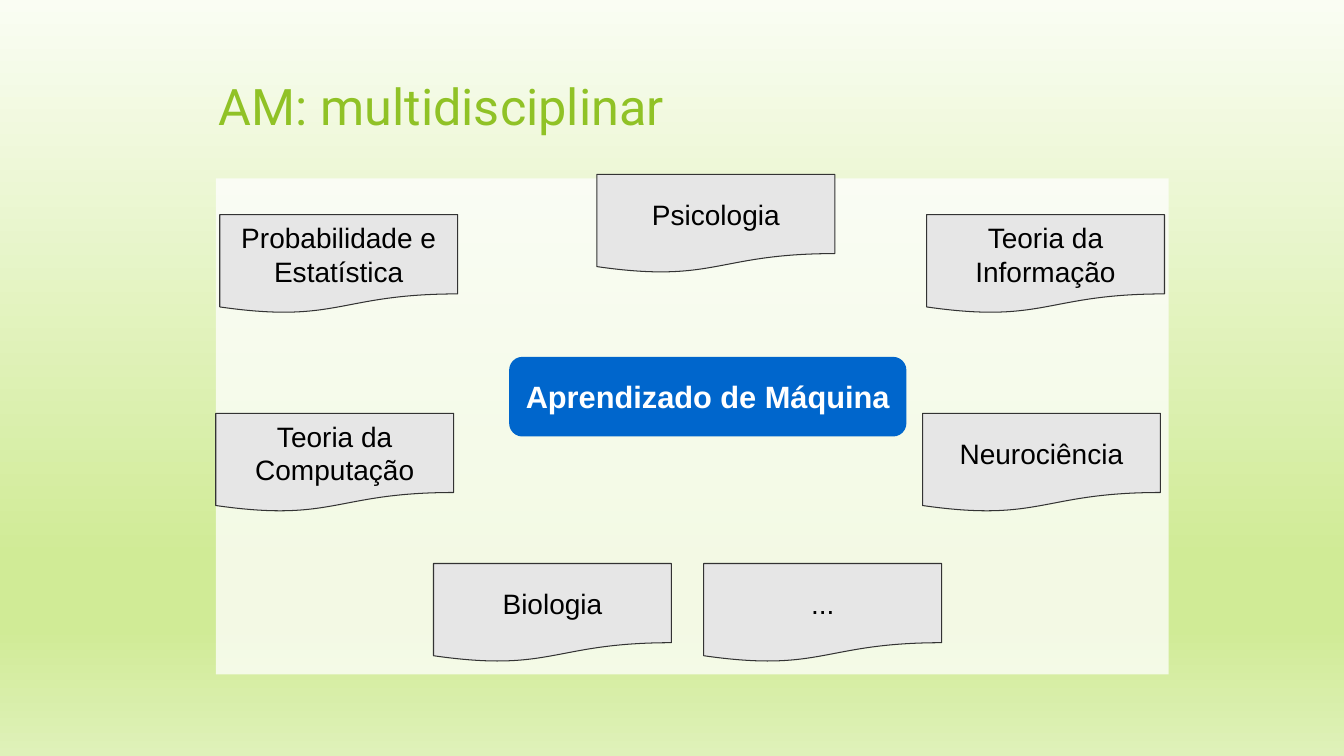
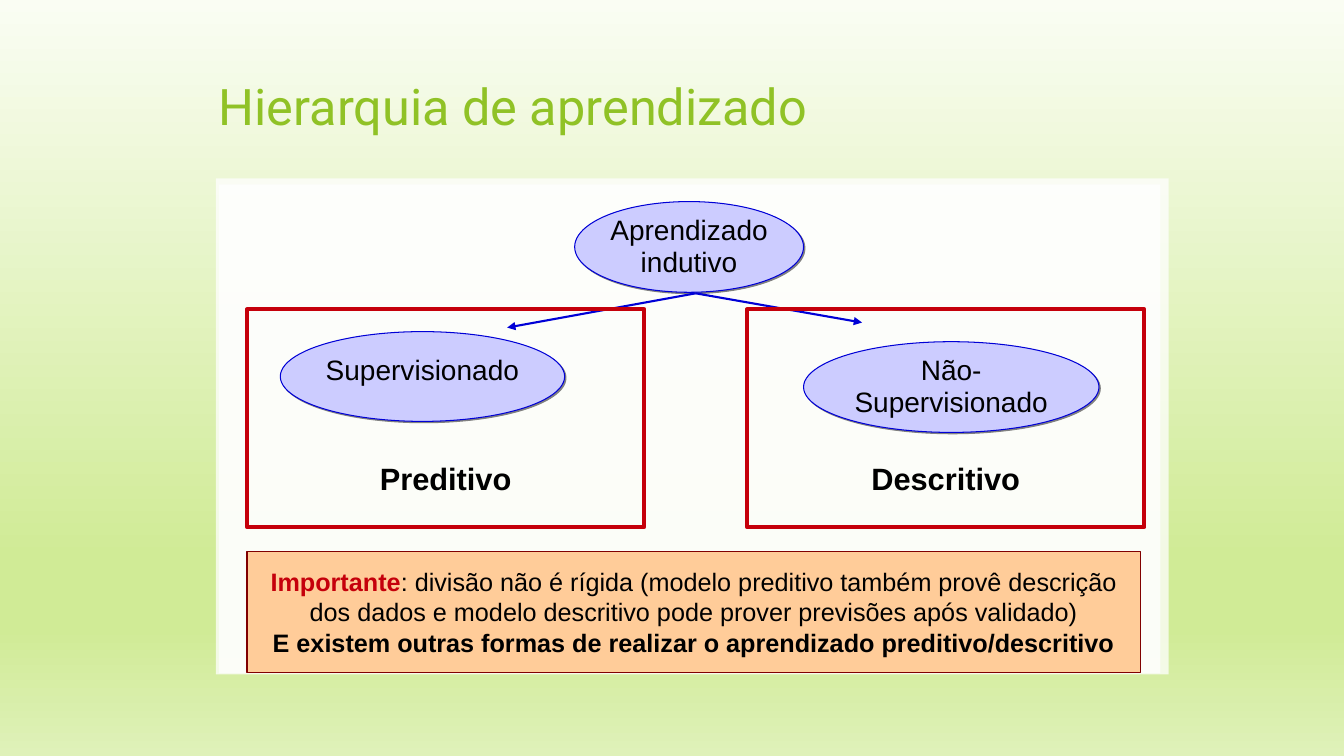
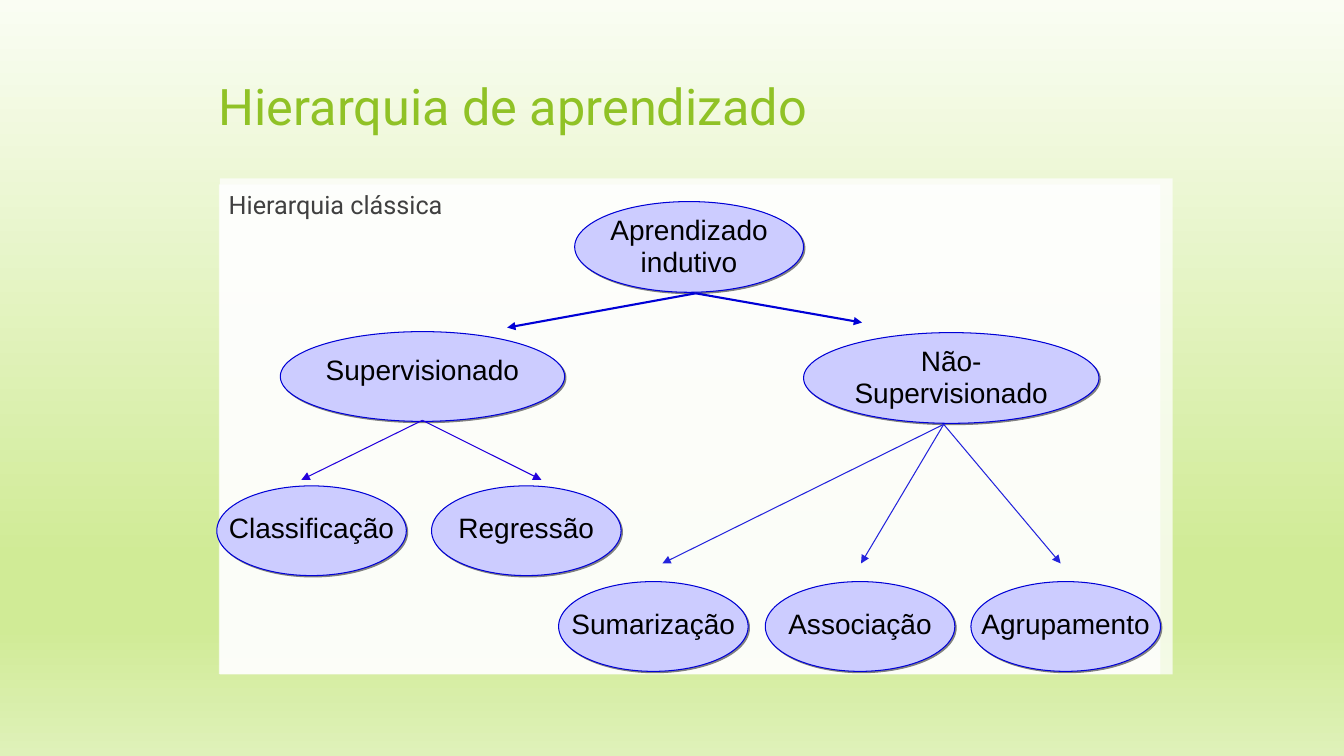
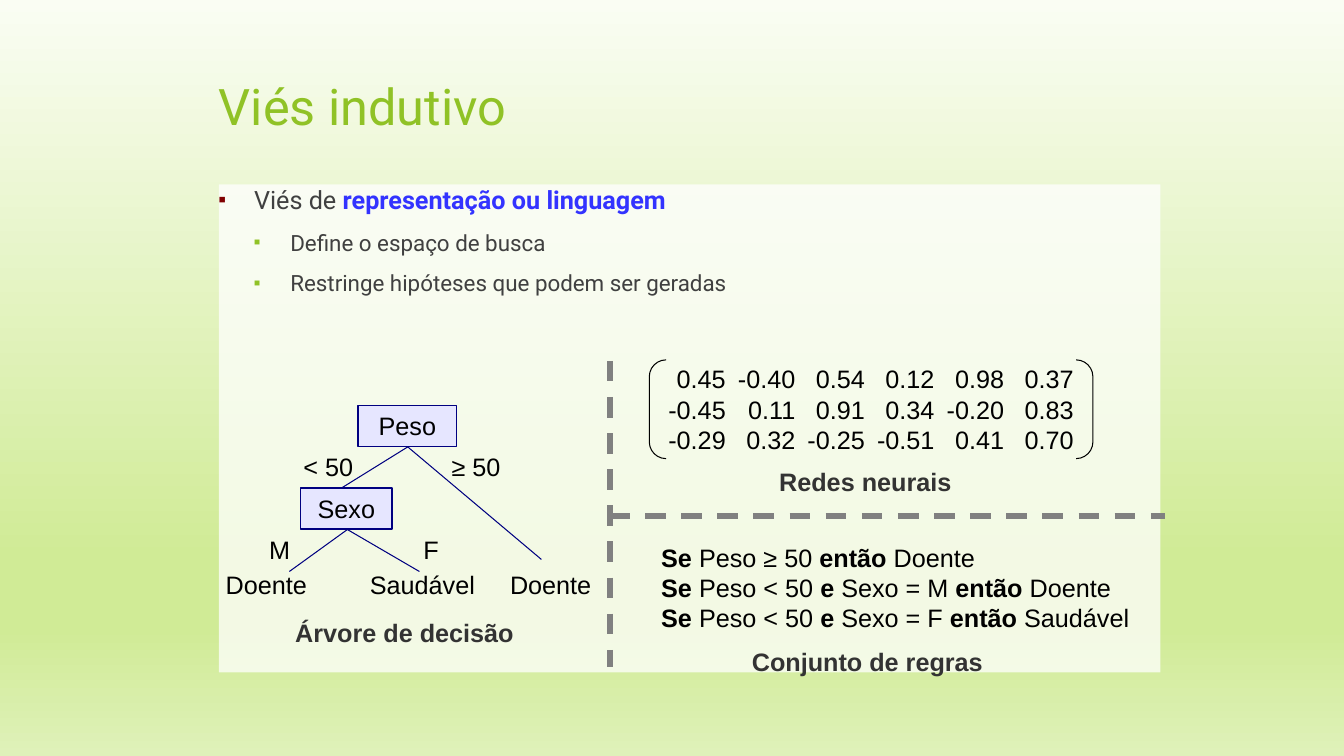
from dataclasses import dataclass

from lxml import etree
from pptx import Presentation
from pptx import util as u
from pptx.dml.color import RGBColor
from pptx.enum import dml, shapes, text
from pptx.oxml.ns import qn

EMU_PER_PX = 9144
KIND = shapes.MSO_SHAPE
ANCHOR = text.MSO_ANCHOR
ALIGN = text.PP_ALIGN


@dataclass(frozen=True)
class Theme:
    sans: str = "Arial"
    display: str = "Roboto"
    title: str = "90C226"
    body: str = "404040"
    emphasis: str = "3333FF"
    bullet: str = "800000"
    black: str = "000000"
    white: str = "FFFFFF"
    caption: str = "333333"
    core: str = "0066CC"
    card: str = "E6E6E6"
    card_line: str = "333333"
    oval: str = "CCCCFF"
    oval_line: str = "0000D6"
    supervised_arrow: str = "2300DC"
    unsupervised_arrow: str = "2323DC"
    shadow: str = "808080"
    frame: str = "C5000B"
    note: str = "FFCC99"
    tree: str = "E6E6FF"
    tree_line: str = "000080"
    divider: str = "808080"
    gradient: tuple = ((0, "FAFDF3"), (74, "D0EB96"), (83, "D0EB96"), (100, "DFF1B9"))
    title_size: int = 36
    heading_size: int = 22
    label_size: int = 20
    text_size: int = 18
    detail_size: int = 16


THEME = Theme()


def px(length):
    return u.Emu(length * EMU_PER_PX)


def rgb(code):
    return RGBColor.from_string(code)


def add_xml(parent, tag, **attributes):
    return etree.SubElement(parent, qn(tag), {key: str(value) for key, value in attributes.items()})


def paint_background(presentation):
    master = presentation.slide_master
    fill = master.background.fill
    fill.gradient()
    fill.gradient_angle = 270
    stops = next(master.element.iter(qn("a:gsLst")))
    for stop in list(stops):
        stops.remove(stop)
    for position, color in THEME.gradient:
        add_xml(add_xml(stops, "a:gs", pos=position * 1000), "a:srgbClr", val=color)


def style_line(line, color, width, dashed=False):
    line.color.rgb = rgb(color)
    line.width = u.Pt(width)
    if dashed:
        line.dash_style = dml.MSO_LINE.DASH


def write(shape, content, size=THEME.text_size, color=THEME.black, font=THEME.sans, bold=False,
          align=ALIGN.LEFT, anchor=ANCHOR.TOP, insets=(10, 5, 10, 5), wrap=True, spacing=None):
    frame = shape.text_frame
    frame.word_wrap = wrap
    frame.vertical_anchor = anchor
    frame.margin_left, frame.margin_top, frame.margin_right, frame.margin_bottom = map(px, insets)
    lines = content.split("\n") if isinstance(content, str) else content
    for index, line in enumerate(lines):
        paragraph = frame.paragraphs[0] if index == 0 else frame.add_paragraph()
        paragraph.alignment = align
        paragraph.line_spacing = spacing
        paragraph.font.name = font
        paragraph.font.size = u.Pt(size)
        paragraph.font.bold = bold
        paragraph.font.color.rgb = rgb(color)
        for words, strong, run_color in [(line, False, None)] if isinstance(line, str) else line:
            run = paragraph.add_run()
            run.text = words
            if strong:
                run.font.bold = True
            if run_color:
                run.font.color.rgb = rgb(run_color)
    return frame.paragraphs


def add_box(slide, kind, box, fill=None, line=None, width=0.75):
    shape = slide.shapes.add_shape(kind, *map(px, box))
    shape.shadow.inherit = False
    if fill:
        shape.fill.solid()
        shape.fill.fore_color.rgb = rgb(fill)
    else:
        shape.fill.background()
    if line:
        style_line(shape.line, line, width)
    else:
        shape.line.fill.background()
    return shape


def add_panel(slide, box):
    panel = add_box(slide, KIND.RECTANGLE, box, THEME.white)
    add_xml(next(panel.element.spPr.iter(qn("a:srgbClr"))), "a:alpha", val=75000)
    return panel


def add_label(slide, box, content, **style):
    return write(slide.shapes.add_textbox(*map(px, box)), content, **style)


def add_caption(slide, left, top, content):
    add_label(slide, (left, top, 260, 40), content, color=THEME.caption, bold=True)


def add_line(slide, start, end, color, width=0.75, arrow=False, dashed=False):
    connector = slide.shapes.add_connector(shapes.MSO_CONNECTOR.STRAIGHT, *map(px, start + end))
    style_line(connector.line, color, width, dashed)
    properties = connector.element.spPr
    if arrow:
        add_xml(properties.find(qn("a:ln")), "a:tailEnd", type="triangle")
    add_xml(properties, "a:effectLst")


def add_oval(slide, box, content, wrap=False, lift=0):
    oval = add_box(slide, KIND.OVAL, box, THEME.oval, THEME.oval_line)
    effects = oval.element.spPr.find(qn("a:effectLst"))
    shadow = add_xml(effects, "a:outerShdw", blurRad=0, dist=17780, dir=2700000, algn="tl", rotWithShape=0)
    add_xml(shadow, "a:srgbClr", val=THEME.shadow)
    write(oval, content, THEME.label_size, align=ALIGN.CENTER, anchor=ANCHOR.MIDDLE,
          insets=(0, 0, 0, lift), wrap=wrap, spacing=0.95)


def set_bullet(paragraph, color, indent, hanging):
    properties = paragraph.font and paragraph._p.get_or_add_pPr()
    properties.set("marL", str(px(indent)))
    properties.set("indent", str(-px(hanging)))
    default_font = properties.find(qn("a:defRPr"))
    bullet_color = etree.Element(qn("a:buClr"))
    add_xml(bullet_color, "a:srgbClr", val=color)
    parts = [bullet_color]
    for tag, name, value in (("a:buSzPct", "val", "45000"), ("a:buFont", "typeface", THEME.sans),
                             ("a:buChar", "char", "■")):
        parts.append(etree.Element(qn(tag), {name: value}))
    for part in parts:
        default_font.addprevious(part)


def set_right_tabs(paragraph, positions):
    properties = paragraph._p.get_or_add_pPr()
    tabs = etree.Element(qn("a:tabLst"))
    for position in positions:
        add_xml(tabs, "a:tab", pos=px(position), algn="r")
    properties.find(qn("a:defRPr")).addprevious(tabs)


def new_slide(presentation, title, *panels):
    slide = presentation.slides.add_slide(presentation.slide_layouts[6])
    for box in panels:
        add_panel(slide, box)
    add_label(slide, (217, 35, 899, 140), title, size=THEME.title_size, color=THEME.title,
              font=THEME.display, anchor=ANCHOR.MIDDLE, insets=(0, 0, 0, 0))
    return slide


def add_hierarchy_top(slide, unsupervised_top):
    add_oval(slide, (570, 200, 227, 90), "Aprendizado indutivo", wrap=True)
    add_oval(slide, (278, 329, 282, 89), "Supervisionado", lift=11)
    add_oval(slide, (797, unsupervised_top, 293, 90), "Não-Supervisionado", wrap=True)
    for end in ((503, 325), (855, 320)):
        add_line(slide, (690, 291), end, THEME.oval_line, 1.5, arrow=True)


def build_disciplines(presentation):
    slide = new_slide(presentation, "AM: multidisciplinar", (214, 177, 945, 492))
    core = add_box(slide, KIND.FLOWCHART_ALTERNATE_PROCESS, (505, 354, 394, 79), THEME.core)
    write(core, "Aprendizado de Máquina", THEME.heading_size, THEME.white, bold=True,
          align=ALIGN.CENTER, anchor=ANCHOR.MIDDLE, wrap=False)
    cards = (
        (218, 213, "Probabilidade e\nEstatística"),
        (214, 410, "Teoria da\nComputação"),
        (915, 410, "Neurociência"),
        (919, 213, "Teoria da\nInformação"),
        (430, 559, "Biologia"),
        (592, 173, "Psicologia"),
        (698, 559, "..."),
    )
    for left, top, content in cards:
        card = add_box(slide, KIND.FLOWCHART_DOCUMENT, (left, top, 236, 98), THEME.card, THEME.card_line)
        write(card, content, THEME.label_size, align=ALIGN.CENTER, anchor=ANCHOR.MIDDLE, wrap=False)


def build_learning_kinds(presentation):
    slide = new_slide(presentation, "Hierarquia de aprendizado",
                      (214, 177, 945, 492), (217, 183, 934, 485))
    add_hierarchy_top(slide, 339)
    for left, content in ((245, "Preditivo"), (741, "Descritivo")):
        frame = add_box(slide, KIND.FLOWCHART_PROCESS, (left, 307, 394, 216), line=THEME.frame, width=2.83)
        write(frame, content, THEME.heading_size, bold=True, align=ALIGN.CENTER,
              anchor=ANCHOR.BOTTOM, insets=(12, 7, 12, 30), wrap=False)
    note = add_box(slide, KIND.FLOWCHART_PROCESS, (245, 547, 886, 120), THEME.note, THEME.bullet)
    write(note, [
        [("Importante", True, THEME.frame),
         (": divisão não é rígida (modelo preditivo também provê descrição", False, None)],
        "dos dados e modelo descritivo pode prover previsões após validado)",
        [("E existem outras formas de realizar o aprendizado preditivo/descritivo", True, None)],
    ], align=ALIGN.CENTER, anchor=ANCHOR.MIDDLE, wrap=False)


def build_classic_hierarchy(presentation):
    slide = new_slide(presentation, "Hierarquia de aprendizado", (218, 177, 945, 492))
    panel = add_panel(slide, (217, 183, 934, 486))
    write(panel, "Hierarquia clássica", color=THEME.body, font=THEME.display)
    add_hierarchy_top(slide, 330)
    branches = (
        (482, (419, 417), 476, THEME.supervised_arrow,
         ((215, "Classificação", 299), (428, "Regressão", 537))),
        (577, (936, 421), 559, THEME.unsupervised_arrow,
         ((554, "Sumarização", 657), (759, "Associação", 854), (963, "Agrupamento", 1052))),
    )
    for top, origin, tip, color, leaves in branches:
        for left, content, tip_left in leaves:
            add_oval(slide, (left, top, 188, 89), content, lift=3)
            add_line(slide, origin, (tip_left, tip), color, arrow=True)


def add_bias_text(slide):
    panel = add_panel(slide, (217, 183, 934, 484))
    paragraphs = write(panel, [
        [("Viés de ", False, None), ("representação ou linguagem", True, THEME.emphasis)],
        "Define o espaço de busca",
        "Restringe hipóteses que podem ser geradas",
    ], color=THEME.body, font=THEME.display, insets=(0, 0, 0, 0))
    set_bullet(paragraphs[0], THEME.bullet, 35, 35)
    for paragraph in paragraphs[1:]:
        paragraph.level = 1
        paragraph.space_before = u.Pt(10)
        paragraph.font.size = u.Pt(THEME.detail_size)
        set_bullet(paragraph, THEME.title, 71, 36)


def add_decision_tree(slide):
    branches = (((405, 443), (339, 484)), ((404, 443), (537, 555)),
                ((345, 525), (287, 567)), ((344, 525), (416, 567)))
    for start, end in branches:
        add_line(slide, start, end, THEME.tree_line)
    for left, top, width, content in ((355, 402, 98, "Peso"), (298, 484, 91, "Sexo")):
        node = add_box(slide, KIND.RECTANGLE, (left, top, width, 41), THEME.tree, THEME.tree_line, 1)
        write(node, content, align=ALIGN.CENTER, anchor=ANCHOR.MIDDLE)
    labels = ((291, 443, "< 50"), (438, 443, "≥ 50"), (257, 525, "M"), (410, 525, "F"),
              (214, 560, "Doente"), (357, 560, "Saudável"), (496, 560, "Doente"))
    for left, top, content in labels:
        add_label(slide, (left, top, 135, 40), content)
    add_caption(slide, 283, 608, "Árvore de decisão")


def add_weight_matrix(slide):
    rows = (("0.45", "-0.40", "0.54", "0.12", "0.98", "0.37"),
            ("-0.45", "0.11", "0.91", "0.34", "-0.20", "0.83"),
            ("-0.29", "0.32", "-0.25", "-0.51", "0.41", "0.70"))
    lines = ["".join("\t" + value for value in row) for row in rows]
    for paragraph in add_label(slide, (652, 356, 472, 101), lines):
        set_right_tabs(paragraph, [58 + 69 * column for column in range(6)])
    bracket = add_box(slide, KIND.DOUBLE_BRACKET, (644, 357, 440, 98), line=THEME.black)
    bracket.adjustments[0] = 0.17
    add_caption(slide, 763, 458, "Redes neurais")


def add_rules(slide):
    rules = (("Se", " Peso ≥ 50 ", "então", " Doente"),
             ("Se", " Peso < 50 ", "e", " Sexo = M ", "então", " Doente"),
             ("Se", " Peso < 50 ", "e", " Sexo = F ", "então", " Saudável"))
    lines = [[(words, index % 2 == 0, None) for index, words in enumerate(rule)] for rule in rules]
    add_label(slide, (646, 533, 510, 101), lines)
    add_caption(slide, 736, 636, "Conjunto de regras")


def build_inductive_bias(presentation):
    slide = new_slide(presentation, "Viés indutivo")
    add_bias_text(slide)
    add_decision_tree(slide)
    add_weight_matrix(slide)
    add_rules(slide)
    for start, end in (((604, 512), (1155, 512)), ((605, 358), (605, 662))):
        add_line(slide, start, end, THEME.divider, 3.69, dashed=True)


def main():
    presentation = Presentation()
    presentation.slide_width = px(1333)
    presentation.slide_height = px(750)
    paint_background(presentation)
    build_disciplines(presentation)
    build_learning_kinds(presentation)
    build_classic_hierarchy(presentation)
    build_inductive_bias(presentation)
    presentation.save("out.pptx")


if __name__ == "__main__":
    main()
